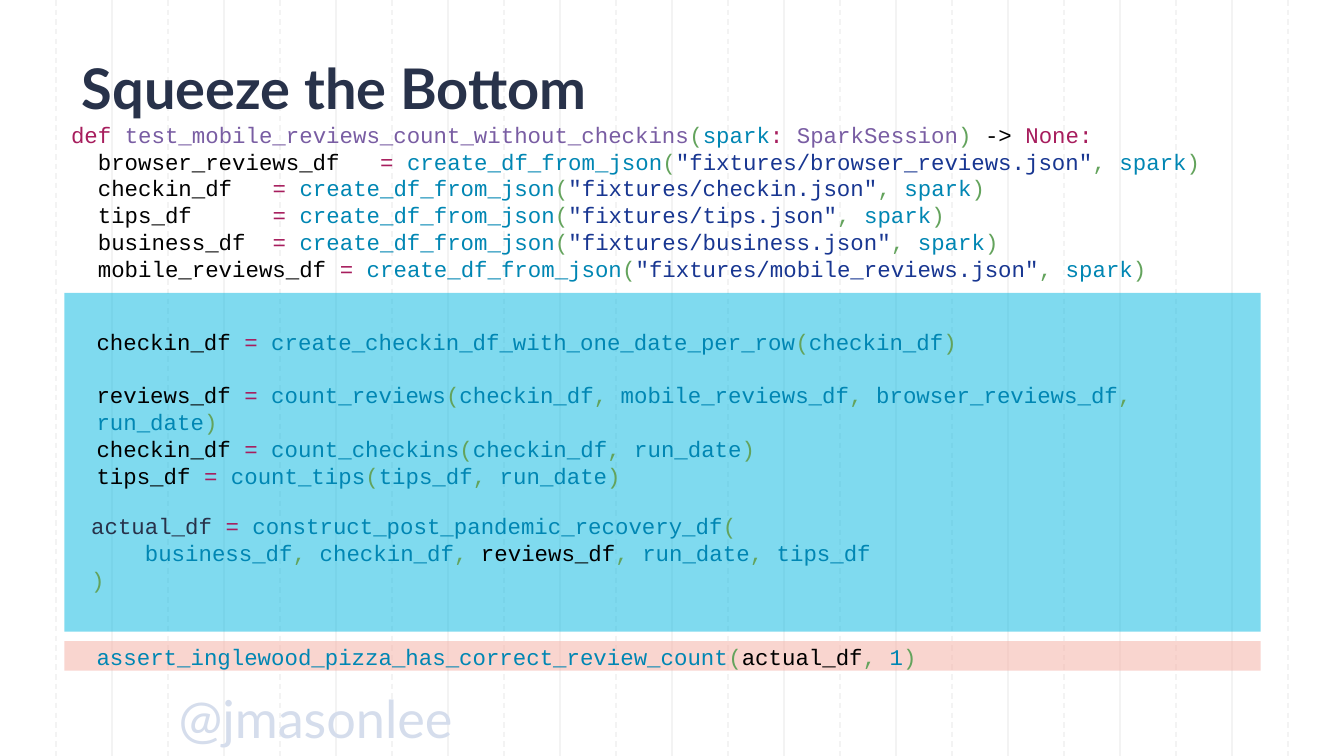
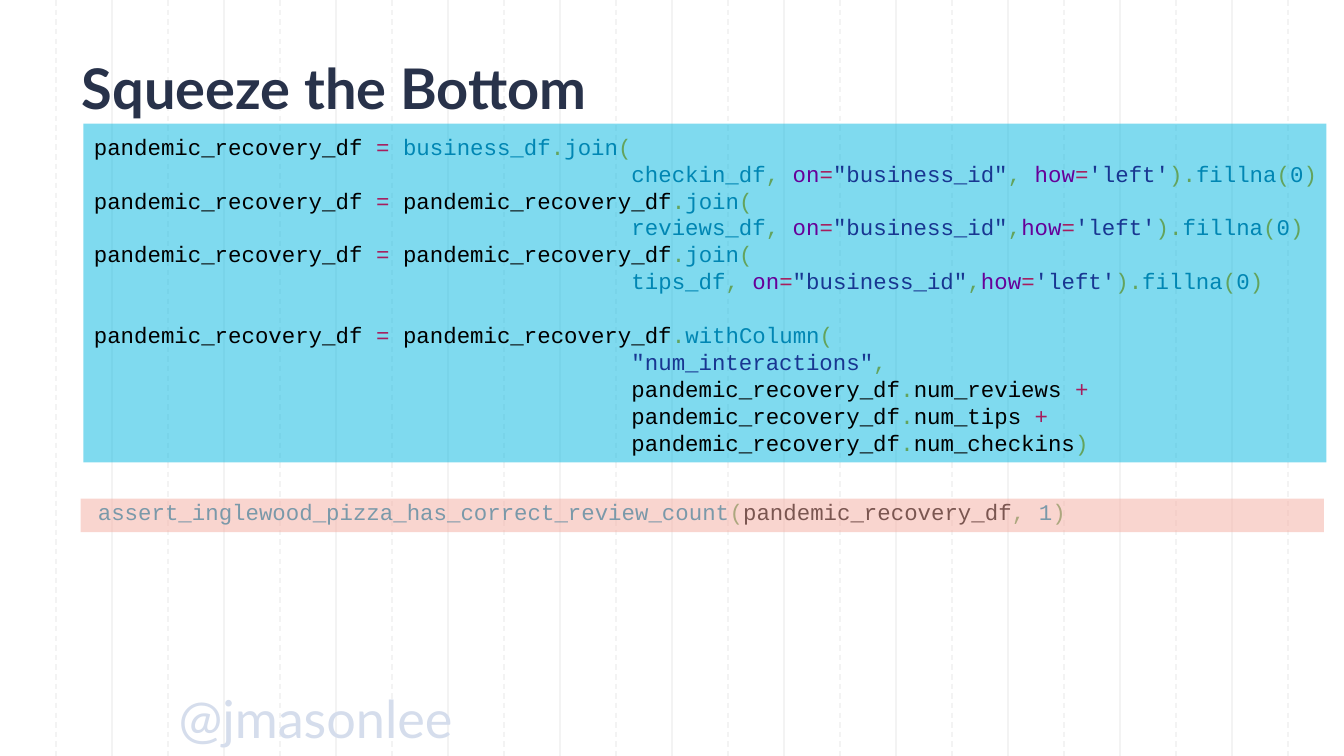
from dataclasses import dataclass
from typing import Any

from lxml.etree import SubElement
from pptx import Presentation
from pptx.dml.color import RGBColor
from pptx.enum.dml import MSO_LINE
from pptx.enum.shapes import MSO_CONNECTOR, MSO_SHAPE
from pptx.enum.text import MSO_ANCHOR
from pptx.oxml.ns import qn
from pptx.util import Inches, Pt

WIDTH = 10
HEIGHT = WIDTH * 9 / 16
COLORS = {
    "paper": "FFFFFF", "grid": "F3F3F3", "title": "28324A", "handle": "D5DDEC",
    "cyan": "00B6E0", "pink": "F5ACA1",
    # one-letter keys used in the code markup
    "k": "000000",  # plain names
    "n": "28324A",  # navy name
    "r": "A71D5D",  # keywords and operators
    "b": "0086B3",  # calls and arguments
    "g": "63A35C",  # punctuation
    "s": "183691",  # strings
    "d": "795DA3",  # definitions
    "a": "660099",  # keyword arguments
}
CODE_FONT = {"name": "Courier New", "size": Pt(12)}
TITLE_FONT = {"name": "Lato", "size": Pt(30), "bold": True}
HANDLE_FONT = {"name": "Lato", "size": Pt(28)}
TITLE_FRAME = {"margin_left": 0, "margin_right": 0, "margin_top": 0, "margin_bottom": 0,
               "vertical_anchor": MSO_ANCHOR.MIDDLE, "word_wrap": True}
CODE_FRAME = {"vertical_anchor": MSO_ANCHOR.TOP, "word_wrap": True}
BLANK_LINE = Pt(14.4)


@dataclass(frozen=True)
class Area:
    left: float
    top: float
    width: float
    height: float

    def lengths(self) -> list[int]:
        return [Inches(side) for side in (self.left, self.top, self.width, self.height)]


@dataclass(frozen=True)
class Band:
    area: Area
    color: str


@dataclass(frozen=True)
class Line:
    """Markup alternates colour key and text: key|text|key|text."""
    markup: str
    indent: float = 0
    gap: bool = False


@dataclass(frozen=True)
class CodeBox:
    area: Area
    lines: list[Line]


@dataclass(frozen=True)
class Page:
    bands_below: list[Band]
    code: list[CodeBox]
    bands_above: list[Band]


def rgb(key: str) -> RGBColor:
    return RGBColor.from_string(COLORS[key])


def apply(target: Any, values: dict[str, Any]) -> None:
    for name, value in values.items():
        setattr(target, name, value)


def add_span(para: Any, text: str, font: dict[str, Any], color: str) -> None:
    span = para.add_run()
    span.text = text
    apply(span.font, font)
    span.font.color.rgb = rgb(color)


def add_box(page: Any, area: Area, frame: dict[str, Any]) -> Any:
    box = page.shapes.add_textbox(*area.lengths())
    apply(box.text_frame, frame)
    return box.text_frame


def draw_grid(page: Any) -> None:
    # solid lines on even steps, dashed lines on odd ones
    step = WIDTH / 24
    for index in [*range(2, 24, 2), *range(1, 24, 2)]:
        x = Inches(index * step)
        line = page.shapes.add_connector(MSO_CONNECTOR.STRAIGHT, x, 0, x, Inches(HEIGHT))
        line.line.color.rgb = rgb("grid")
        line.line.width = Pt(0.75)
        if index % 2:
            line.line.dash_style = MSO_LINE.DASH
        SubElement(line._element.spPr, qn("a:effectLst"))


def draw_band(page: Any, band: Band) -> None:
    shape = page.shapes.add_shape(MSO_SHAPE.RECTANGLE, *band.area.lengths())
    shape.shadow.inherit = False
    shape.fill.solid()
    shape.fill.fore_color.rgb = rgb(band.color)
    shape.line.fill.background()
    color = shape._element.spPr.find(qn("a:solidFill"))[0]
    SubElement(color, qn("a:alpha"), val="50000")


def draw_label(page: Any, text: str, area: Area, font: dict[str, Any], color: str) -> None:
    para = add_box(page, area, TITLE_FRAME).paragraphs[0]
    para.line_spacing = 0.9
    add_span(para, text, font, color)


def draw_code(page: Any, code: CodeBox) -> None:
    frame = add_box(page, code.area, CODE_FRAME)
    for index, line in enumerate(code.lines):
        para = frame.add_paragraph() if index else frame.paragraphs[0]
        if line.indent:
            para._p.get_or_add_pPr().set("marL", str(Inches(line.indent)))
        if line.gap:
            para.space_before = BLANK_LINE
        parts = line.markup.split("|")
        for color, text in zip(parts[::2], parts[1::2]):
            add_span(para, text, CODE_FONT, color)


# Code patterns that recur
def call(name: str, *arguments: str) -> str:
    return f"b|{name}|g|(|" + "|g|, |".join(f"b|{item}" for item in arguments) + "|g|)"


def assign(name: str, value: str, gap: bool = False) -> Line:
    return Line(f"k|{name} |r|= |{value}", gap=gap)


def load(name: str, fixture: str) -> Line:
    return Line(f'k|  {name}|r|= |b|create_df_from_json|g|(|s|"fixtures/{fixture}.json"'
                "|g|, |b|spark|g|)")


def check(name: str) -> Line:
    return Line(f"b|assert_inglewood_pizza_has_correct_review_count|g|(|k|{name}|g|, |b|1|g|)")


def join(source: str, other: str, separator: str) -> list[Line]:
    return [
        assign(RECOVERY, f"{source}|g|.|b|join|g|("),
        Line(f'b|{other}|g|, |a|on|r|=|s|"business_id"|g|{separator}|a|how|r|=|s|\'left\''
             "|g|).|b|fillna|g|(|b|0|g|)", indent=4),
    ]


def column(name: str, ending: str) -> Line:
    return Line(f"k|{RECOVERY}|g|.|k|{name}|{ending}", indent=4)


RECOVERY = "pandemic_recovery_df"

# Slide 1: the test
LOADING = [
    Line("r|def |d|test_mobile_reviews_count_without_checkins|g|(|b|spark|r|: "
         "|d|SparkSession|g|) |k|-> |r|None:"),
    load("browser_reviews_df   ", "browser_reviews"),
    load("checkin_df   ", "checkin"),
    load("tips_df      ", "tips"),
    load("business_df  ", "business"),
    load("mobile_reviews_df ", "mobile_reviews"),
]
COUNTING = [
    assign("checkin_df", call("create_checkin_df_with_one_date_per_row", "checkin_df")),
    assign("reviews_df", call("count_reviews", "checkin_df", "mobile_reviews_df",
                              "browser_reviews_df", "run_date"), gap=True),
    assign("checkin_df", call("count_checkins", "checkin_df", "run_date")),
    assign("tips_df", call("count_tips", "tips_df", "run_date")),
]
BUILDING = [
    Line("n| actual_df|r| = |b|construct_post_pandemic_recovery_df|g|("),
    Line("b|     business_df|g|, |b|checkin_df|g|, |k|reviews_df|g|, |b|run_date|g|, |b|tips_df"),
    Line("g| )"),
]

# Slide 2: the function under test
JOINING = [
    *join("b|business_df", "checkin_df", ", "),
    *join(f"k|{RECOVERY}", "reviews_df", ","),
    *join(f"k|{RECOVERY}", "tips_df", ","),
    assign(RECOVERY, f"k|{RECOVERY}|g|.|b|withColumn|g|(", gap=True),
    Line('s|"num_interactions"|g|,', indent=4),
    column("num_reviews ", "r|+"),
    column("num_tips ", "r|+"),
    column("num_checkins", "g|)"),
]

PAGES = [
    Page(
        [Band(Area(0.48, 2.18, 8.9, 2.52), "cyan"), Band(Area(0.48, 4.77, 8.9, 0.22), "pink")],
        [
            CodeBox(Area(0.62, 4.74, 8.05, 0.3), [check("actual_df")]),
            CodeBox(Area(0.48, 3.76, 6.65, 0.71), BUILDING),
            CodeBox(Area(0.43, 0.85, 9.22, 1.57), LOADING),
            CodeBox(Area(0.62, 2.39, 8.8, 1.31), COUNTING),
        ],
        [],
    ),
    Page(
        [Band(Area(0.62, 0.92, 9.25, 2.52), "cyan")],
        [
            CodeBox(Area(0.63, 3.66, 8.05, 0.3), [check(RECOVERY)]),
            CodeBox(Area(0.6, 0.94, 9.58, 2.52), JOINING),
        ],
        [Band(Area(0.6, 3.71, 9.25, 0.25), "pink")],
    ),
]


def draw_page(deck: Any, content: Page) -> None:
    page = deck.slides.add_slide(deck.slide_layouts[6])
    page.background.fill.solid()
    page.background.fill.fore_color.rgb = rgb("paper")
    draw_grid(page)
    draw_label(page, "@jmasonlee", Area(1.33, 5.14, 2.4, 0.46), HANDLE_FONT, "handle")
    for band in content.bands_below:
        draw_band(page, band)
    draw_label(page, "Squeeze the Bottom", Area(0.61, 0.44, 8.75, 0.48), TITLE_FONT, "title")
    for code in content.code:
        draw_code(page, code)
    for band in content.bands_above:
        draw_band(page, band)


def main() -> None:
    deck = Presentation()
    deck.slide_width, deck.slide_height = Inches(WIDTH), Inches(HEIGHT)
    for content in PAGES:
        draw_page(deck, content)
    deck.save("out.pptx")


if __name__ == "__main__":
    main()
